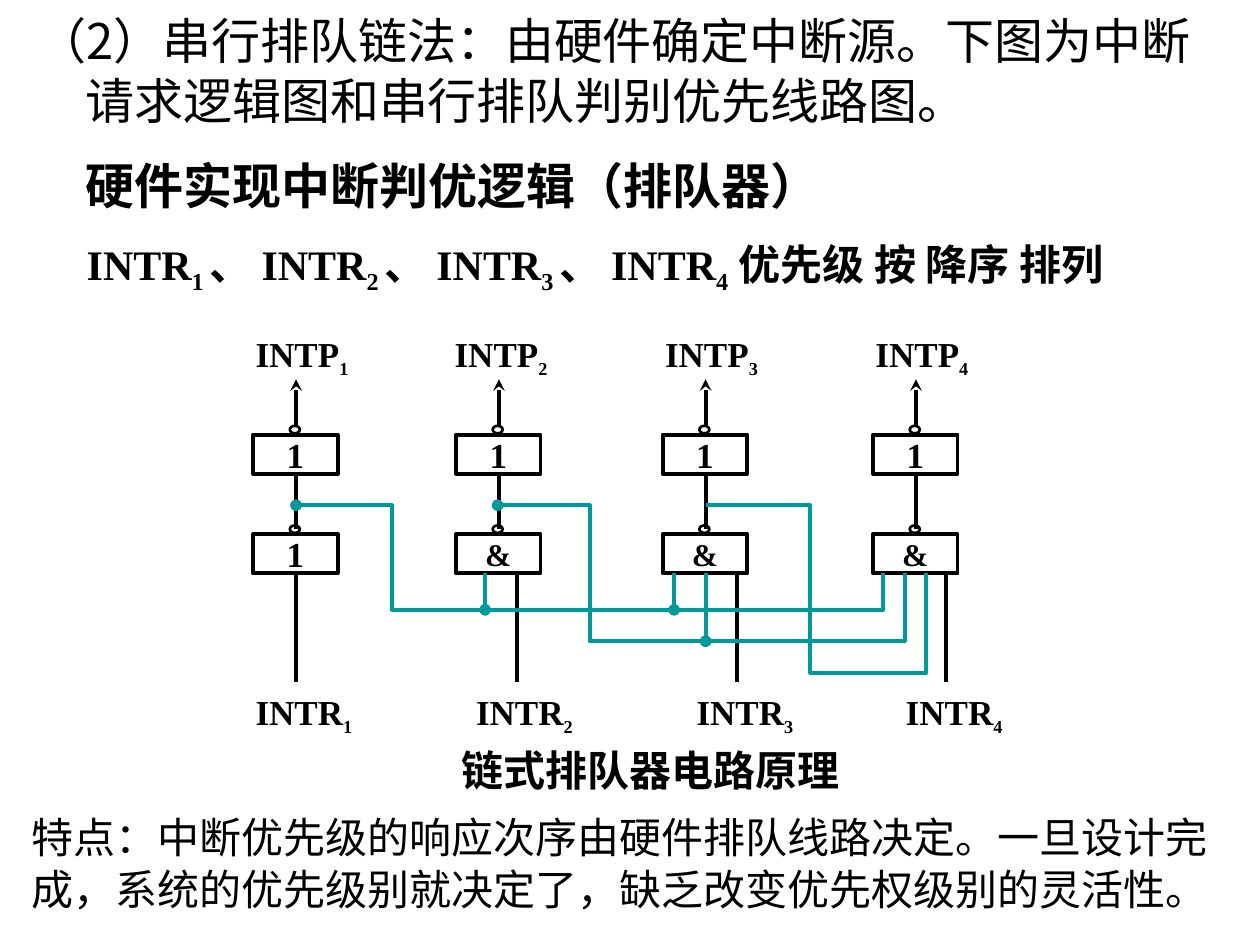
"""Build the slide on the serial priority chain for interrupt requests."""
from lxml.etree import SubElement
from pptx import Presentation
from pptx.dml.color import RGBColor
from pptx.enum.shapes import MSO_CONNECTOR, MSO_SHAPE
from pptx.enum.text import MSO_ANCHOR, PP_ALIGN
from pptx.oxml.ns import qn
from pptx.util import Pt

PX = 9144
BLACK = "000000"
TEAL = "009999"
HAN = "Noto Sans CJK SC"
ROMAN = "Times New Roman"


def color(text):
    return RGBColor.from_string(text)


class Board:
    def __init__(self, slide):
        self.slide = slide
        self.shapes = slide.shapes

    def style(self, run, size, face, bold):
        font = run.font
        font.size, font.bold, font.name = Pt(size), bold, face
        font.color.rgb = color(BLACK)
        SubElement(font._element, qn("a:ea")).set("typeface", HAN)

    def stroke(self, shape, tint, width=2.25, head=None, tail=None):
        shape.line.color.rgb = color(tint)
        shape.line.width = Pt(width)
        line = shape.line._get_or_add_ln()
        for tag, kind in (("a:headEnd", head), ("a:tailEnd", tail)):
            if kind:
                SubElement(line, qn(tag)).set("type", kind)

    def text(self, box, parts, size, face=ROMAN, bold=True, sub=None, inset=10,
             align=PP_ALIGN.LEFT, anchor=MSO_ANCHOR.TOP, lead=None, hang=0):
        frame = self.shapes.add_textbox(*(n * PX for n in box)).text_frame
        frame.word_wrap = True
        frame.vertical_anchor = anchor
        frame.margin_left = frame.margin_right = inset * PX
        frame.margin_top = frame.margin_bottom = 5 * PX
        para = frame.paragraphs[0]
        para.alignment = align
        if lead:
            para.line_spacing = Pt(lead)
        if hang:
            props = para._p.get_or_add_pPr()
            props.set("marL", str(hang * PX))
            props.set("indent", str(-hang * PX))
        for i, part in enumerate(parts):
            run = para.add_run()
            run.text = part
            low = i % 2 == 1
            self.style(run, sub if low else size, face, bold)
            if low:
                run.font._element.set("baseline", "-25000")

    def block(self, kind, box, width, mark=""):
        shape = self.shapes.add_shape(kind, *(n * PX for n in box))
        shape.shadow.inherit = False
        shape.fill.background()
        self.stroke(shape, BLACK, width)
        if mark:
            frame = shape.text_frame
            frame.margin_left = frame.margin_right = 0
            frame.margin_top = frame.margin_bottom = 0
            frame.vertical_anchor = MSO_ANCHOR.MIDDLE
            frame.text = mark
            para = frame.paragraphs[0]
            para.alignment = PP_ALIGN.CENTER
            self.style(para.runs[0], 18 if mark == "&" else 20, ROMAN, True)

    def line(self, x, top, end, tint=BLACK, tail=None):
        wire = self.shapes.add_connector(
            MSO_CONNECTOR.STRAIGHT, x * PX, top * PX, x * PX, end * PX)
        SubElement(wire._element.spPr, qn("a:effectLst"))
        self.stroke(wire, tint, tail=tail)

    def route(self, points, head=None):
        pen = self.shapes.build_freeform(*points[0], scale=PX)
        pen.add_line_segments(points[1:], close=False)
        wire = pen.convert_to_shape()
        wire.shadow.inherit = False
        wire.fill.background()
        self.stroke(wire, TEAL, head=head)

    def stage(self, left, feed, out, mark, num):
        mid = left + 34
        for top, sign in ((345, "1"), (424, mark)):
            self.block(MSO_SHAPE.RECTANGLE, (left, top, 67, 31), 2.25, sign)
            self.block(MSO_SHAPE.OVAL, (left + 29, top - 7, 8, 6), 1.5)
        self.line(mid, 339, 301, tail="stealth")
        self.line(mid, 375, 420)
        self.line(feed, 455, 541)
        self.text((out, 259, 117, 47), ("INTP", num), 20, sub=18)
        self.text((feed - 42, 543, 167, 47), ("INTR", num), 20, sub=18)


def main():
    deck = Presentation()
    deck.slide_width, deck.slide_height = 1000 * PX, 750 * PX
    board = Board(deck.slides.add_slide(deck.slide_layouts[6]))

    board.text((20, 3, 945, 123),
               ["（2）串行排队链法：由硬件确定中断源。下图为中断请求逻辑图和串行排队判别优先线路图。"],
               28, HAN, False, lead=34, hang=38)
    board.text((68, 118, 685, 58), ["硬件实现中断判优逻辑（排队器）"],
               28, HAN, inset=0, anchor=MSO_ANCHOR.MIDDLE)
    board.text((59, 184, 930, 60),
               ("INTR", "1 ", "、 INTR", "2 ", "、 INTR", "3 ", "、 INTR", "4",
                " 优先级 按 降序 排列"), 24, sub=24)

    stages = ((201, 235, 193, "1"), (362, 410, 351, "&"),
              (526, 585, 518, "&"), (693, 751, 685, "&"))
    for num, (left, feed, out, mark) in enumerate(stages, 1):
        board.stage(left, feed, out, mark, str(num))

    routes = ((235, 311, 484, 701, "oval"), (395, 468, 509, 718, "oval"),
              (560, 643, 534, 735, None))
    for start, turn, low, end, head in routes:
        board.route([(start, 401), (turn, 401), (turn, low), (end, low),
                     (end, 455)], head)
    for x, end in ((385, 484), (535, 484), (560, 509)):
        board.line(x, 455, end, TEAL, "oval")

    board.text((104, 582, 825, 58), ["链式排队器电路原理"], 24, inset=0,
               align=PP_ALIGN.CENTER, anchor=MSO_ANCHOR.MIDDLE)
    board.text((15, 638, 975, 90),
               ["特点：中断优先级的响应次序由硬件排队线路决定。一旦设计完成，系统的优先级别就决定了，缺乏改变优先权级别的灵活性。"],
               24, bold=False, lead=29.7)
    deck.save("out.pptx")


if __name__ == "__main__":
    main()
